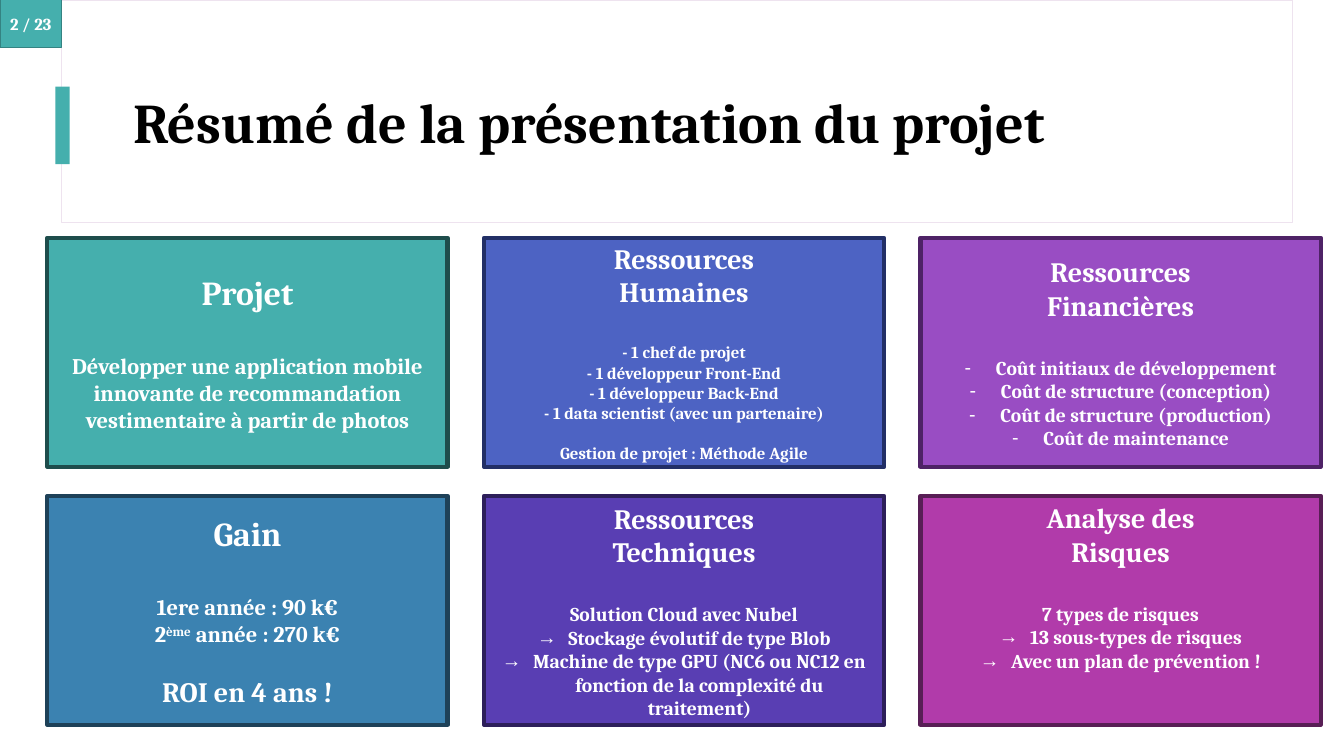
from lxml.etree import SubElement
from pptx import Presentation
from pptx.dml.color import RGBColor as RGB
from pptx.enum.shapes import MSO_SHAPE as Shape
from pptx.enum.text import MSO_ANCHOR as Anchor, MSO_AUTO_SIZE as AutoSize, PP_ALIGN as Align
from pptx.oxml.ns import qn
from pptx.util import Inches, Pt

COLORS = {
    "white": "FFFFFF", "black": "000000", "frame": "EEE3EF",
    "teal": "45AFAD", "badge_edge": "348382", "teal_edge": "1E4D4C",
    "steel": "3B82B1", "steel_edge": "1E4158",
    "blue": "4D63C3", "blue_edge": "222F66",
    "indigo": "593EB3", "indigo_edge": "2D1F5A",
    "violet": "994DC3", "violet_edge": "4E2266",
    "magenta": "B13BAA", "magenta_edge": "581E55",
}
CARD_LEFT, CARD_TOP = 0.47, 2.36
CARD_WIDTH, CARD_HEIGHT = 3.97, 2.27
COLUMN_STEP, ROW_STEP = 4.33, 2.56
BULLET_INDENT = 0.31


def line(text, size, before=0, bullet=None):
    return {"runs": text if isinstance(text, list) else [(text, False)],
            "size": size, "before": before, "bullet": bullet}


def lines(texts, size, before=0, bullet=None):
    """Give paragraphs of one style; only the first has space before it."""
    return [line(text, size, 0 if i else before, bullet) for i, text in enumerate(texts)]


# Each card: column, row, colour, paragraphs, bottom inset
CARDS = [
    (0, 0, "teal", [
        line("Projet", 24),
        line("Développer une application mobile innovante de recommandation "
             "vestimentaire à partir de photos", 16, before=28.8),
    ], 0.05),
    (0, 1, "steel", [
        line("Gain", 24),
        line("1ere année : 90 k€", 16, before=28.8),
        line([("2", False), ("ème", True), (" année : 270 k€", False)], 16),
        line("ROI en 4 ans !", 20, before=19.2),
    ], 0.05),
    (1, 0, "blue", [
        *lines(["Ressources", "Humaines"], 20),
        *lines(["- 1 chef de projet", "- 1 développeur Front-End",
                "- 1 développeur Back-End",
                "- 1 data scientist (avec un partenaire)"], 12, before=24),
        line("Gestion de projet : Méthode Agile", 12, before=14.4),
    ], 0.05),
    (1, 1, "indigo", [
        *lines(["Ressources", "Techniques"], 20),
        line("Solution Cloud avec Nubel", 14, before=24),
        *lines(["Stockage évolutif de type Blob",
                "Machine de type GPU (NC6 ou NC12 en fonction de la complexité "
                "du traitement)"], 14, bullet="→"),
    ], 0.05),
    (2, 0, "violet", [
        *lines(["Ressources", "Financières"], 20),
        *lines(["Coût initiaux de développement", "Coût de structure (conception)",
                "Coût de structure (production)", "Coût de maintenance"],
               14, before=24, bullet="-"),
    ], 0.05),
    (2, 1, "magenta", [
        *lines(["Analyse des", "Risques"], 20),
        line("7 types de risques", 14, before=24),
        *lines(["13 sous-types de risques", "Avec un plan de prévention !"],
               14, bullet="→"),
    ], 0.52),
]


class SlideBuilder:
    font_name = "Cambria"

    def __init__(self, slide):
        self.slide = slide

    def color(self, name):
        return RGB.from_string(COLORS[name])

    def box(self, left, top, width, height, fill, edge=None, edge_width=0.75):
        box = self.slide.shapes.add_shape(
            Shape.RECTANGLE, Inches(left), Inches(top), Inches(width), Inches(height))
        box.shadow.inherit = False
        box.fill.solid()
        box.fill.fore_color.rgb = self.color(fill)
        if edge:
            box.line.color.rgb = self.color(edge)
            box.line.width = Pt(edge_width)
        else:
            box.line.fill.background()
        return box

    def run(self, paragraph, text, size, color="white", superscript=False):
        run = paragraph.add_run()
        run.text = text
        run.font.name = self.font_name
        run.font.size = Pt(size)
        run.font.bold = True
        run.font.color.rgb = self.color(color)
        if superscript:
            run._r.get_or_add_rPr().set("baseline", "30000")

    def bullet(self, paragraph, mark):
        properties = paragraph._p.get_or_add_pPr()
        properties.set("marL", str(Inches(BULLET_INDENT)))
        properties.set("indent", str(-Inches(BULLET_INDENT)))
        SubElement(properties, qn("a:buFont")).set("typeface", "Arial")
        SubElement(properties, qn("a:buChar")).set("char", mark)

    def fill_text(self, box, paragraphs):
        frame = box.text_frame
        frame.word_wrap = True
        frame.vertical_anchor = Anchor.MIDDLE
        for i, item in enumerate(paragraphs):
            paragraph = frame.add_paragraph() if i else frame.paragraphs[0]
            paragraph.alignment = Align.CENTER
            if item["before"]:
                paragraph.space_before = Pt(item["before"])
            if item["bullet"]:
                self.bullet(paragraph, item["bullet"])
            for text, superscript in item["runs"]:
                self.run(paragraph, text, item["size"], superscript=superscript)

    def title(self, text):
        title = self.slide.shapes.title
        title.left, title.top = Inches(1.22), Inches(0.6)
        title.width, title.height = Inches(11.12), Inches(1.29)
        # Bring the title in front of the header frame
        self.slide.shapes._spTree.append(title._element)
        frame = title.text_frame
        frame.word_wrap = True
        frame.auto_size = AutoSize.NONE
        frame.vertical_anchor = Anchor.MIDDLE
        paragraph = frame.paragraphs[0]
        paragraph.alignment = Align.LEFT
        paragraph.line_spacing = 0.9
        self.run(paragraph, text, 40, "black")

    def card(self, column, row, color, paragraphs, bottom_inset):
        card = self.box(CARD_LEFT + column * COLUMN_STEP, CARD_TOP + row * ROW_STEP,
                        CARD_WIDTH, CARD_HEIGHT, color, color + "_edge", 3)
        card.text_frame.margin_bottom = Inches(bottom_inset)
        self.fill_text(card, paragraphs)


def main():
    deck = Presentation()
    deck.slide_width, deck.slide_height = Inches(13.33), Inches(7.5)
    builder = SlideBuilder(deck.slides.add_slide(deck.slide_layouts[5]))

    builder.box(0.61, 0, 12.21, 2.21, "white", "frame")
    builder.box(0.55, 0.86, 0.14, 0.77, "teal")
    page_badge = builder.box(0, 0, 0.61, 0.47, "teal", "badge_edge")
    builder.fill_text(page_badge, [line("2 / 23", 12)])
    builder.title("Résumé de la présentation du projet")
    for card in CARDS:
        builder.card(*card)

    deck.save("out.pptx")


if __name__ == "__main__":
    main()
